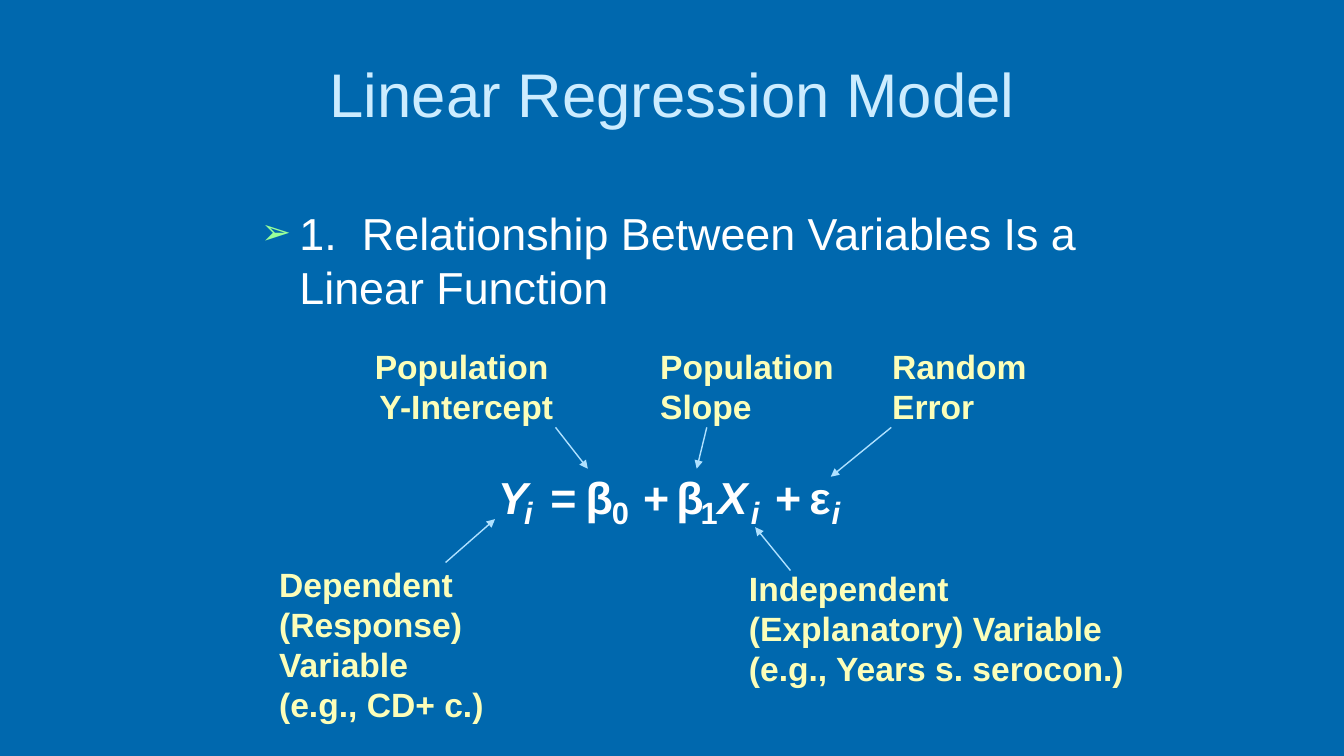
from dataclasses import dataclass

from lxml import etree
from pptx import Presentation
from pptx.dml.color import RGBColor
from pptx.enum import shapes, text
from pptx.oxml import ns
from pptx.util import Inches, Pt

TITLE = "Linear Regression Model"
POINT = "1.\tRelationship Between Variables Is a Linear Function"

# symbol, left, width
MAIN = [("Y", 4.84, 0.5), ("=", 5.36, 0.45), ("β", 5.71, 0.45), ("+", 6.28, 0.45),
        ("β", 6.61, 0.45), ("X", 7.02, 0.5), ("+", 7.59, 0.45), ("ε", 7.93, 0.4)]
SUBS = [("i", 5.1, 0.29), ("0", 5.97, 0.37), ("1", 6.85, 0.37),
        ("i", 7.35, 0.29), ("i", 8.15, 0.29)]

# words, box, alignment, arrow start, arrow end
LEFT, MID = text.PP_ALIGN.LEFT, text.PP_ALIGN.CENTER
LABELS = [
    ("Dependent (Response) Variable\v(e.g., CD+ c.)",
     (2.67, 5.54, 2.41, 1.71), LEFT, (4.42, 5.58), (4.91, 5.15)),
    ("Independent (Explanatory) Variable \v(e.g., Years s. serocon.)",
     (7.33, 5.58, 4.08, 1.31), LEFT, (7.84, 5.66), (7.49, 5.23)),
    ("Population \vY-Intercept",
     (3.42, 3.38, 2.41, 0.91), MID, (5.51, 4.24), (5.83, 4.65)),
    ("Population Slope",
     (6.45, 3.38, 1.97, 0.91), LEFT, (7.01, 4.24), (6.91, 4.65)),
    ("Random Error",
     (8.75, 3.38, 1.74, 0.91), LEFT, (8.84, 4.24), (8.24, 4.73)),
]


@dataclass(frozen=True)
class Theme:
    font: str = "Arial"
    back: str = "0068AE"
    title: str = "CCECFF"
    body: str = "FFFFFF"
    label: str = "FCFEB9"
    arrow: str = "AFE1FF"
    bullet: str = "99FF99"
    title_size: int = 44
    body_size: int = 32
    sub_size: int = 22
    label_size: int = 24


T = Theme()


def color(code):
    return RGBColor.from_string(code)


def style(shape, size, code, bold=False, italic=False):
    for run in shape.text_frame.paragraphs[0].runs:
        font = run.font
        font.name, font.size = T.font, Pt(size)
        font.bold, font.italic = bold, italic
        font.color.rgb = color(code)


def fill_holder(shape, words, box, size, code):
    shape.left, shape.top, shape.width, shape.height = map(Inches, box)
    shape.text_frame.text = words
    shape.text_frame.auto_size = text.MSO_AUTO_SIZE.NONE
    style(shape, size, code)


def add_text(slide, words, box, wrap):
    shape = slide.shapes.add_textbox(*map(Inches, box))
    frame = shape.text_frame
    frame.text = words
    frame.word_wrap = wrap
    frame.auto_size = text.MSO_AUTO_SIZE.SHAPE_TO_FIT_TEXT
    return shape


def add_terms(slide, terms, top, height, size):
    for sign, left, width in terms:
        shape = add_text(slide, sign, (left, top, width, height), False)
        style(shape, size, T.body, True, sign in "YXi")


def add_bullet(para):
    props = para._p.get_or_add_pPr()
    props.set("marL", str(Inches(0.38)))
    props.set("indent", str(-Inches(0.38)))
    tint = etree.SubElement(props, ns.qn("a:buClr"))
    etree.SubElement(tint, ns.qn("a:srgbClr"), val=T.bullet)
    etree.SubElement(props, ns.qn("a:buSzPct"), val="80000")
    etree.SubElement(props, ns.qn("a:buFont"), typeface=T.font)
    etree.SubElement(props, ns.qn("a:buChar"), char="➢")


def add_arrow(slide, start, end):
    arrow = slide.shapes.add_connector(
        shapes.MSO_CONNECTOR.STRAIGHT, *map(Inches, start + end))
    arrow.line.color.rgb = color(T.arrow)
    arrow.line.width = Pt(1)
    etree.SubElement(arrow.line._get_or_add_ln(), ns.qn("a:tailEnd"), type="triangle")
    etree.SubElement(arrow._element.spPr, ns.qn("a:effectLst"))


def main():
    deck = Presentation()
    deck.slide_width, deck.slide_height = Inches(13.33), Inches(7.5)
    slide = deck.slides.add_slide(deck.slide_layouts[1])
    slide.background.fill.solid()
    slide.background.fill.fore_color.rgb = color(T.back)

    title, body = slide.placeholders
    fill_holder(title, TITLE, (0.67, 0.3, 12, 1.25), T.title_size, T.title)
    fill_holder(body, POINT, (2.49, 1.99, 8.59, 4.61), T.body_size, T.body)
    add_bullet(body.text_frame.paragraphs[0])

    add_terms(slide, MAIN, 4.61, 0.64, T.body_size)
    add_terms(slide, SUBS, 4.85, 0.47, T.sub_size)

    for words, box, align, start, end in LABELS:
        label = add_text(slide, words, box, True)
        label.text_frame.paragraphs[0].alignment = align
        style(label, T.label_size, T.label, True)
        add_arrow(slide, start, end)

    deck.save("out.pptx")


if __name__ == "__main__":
    main()
